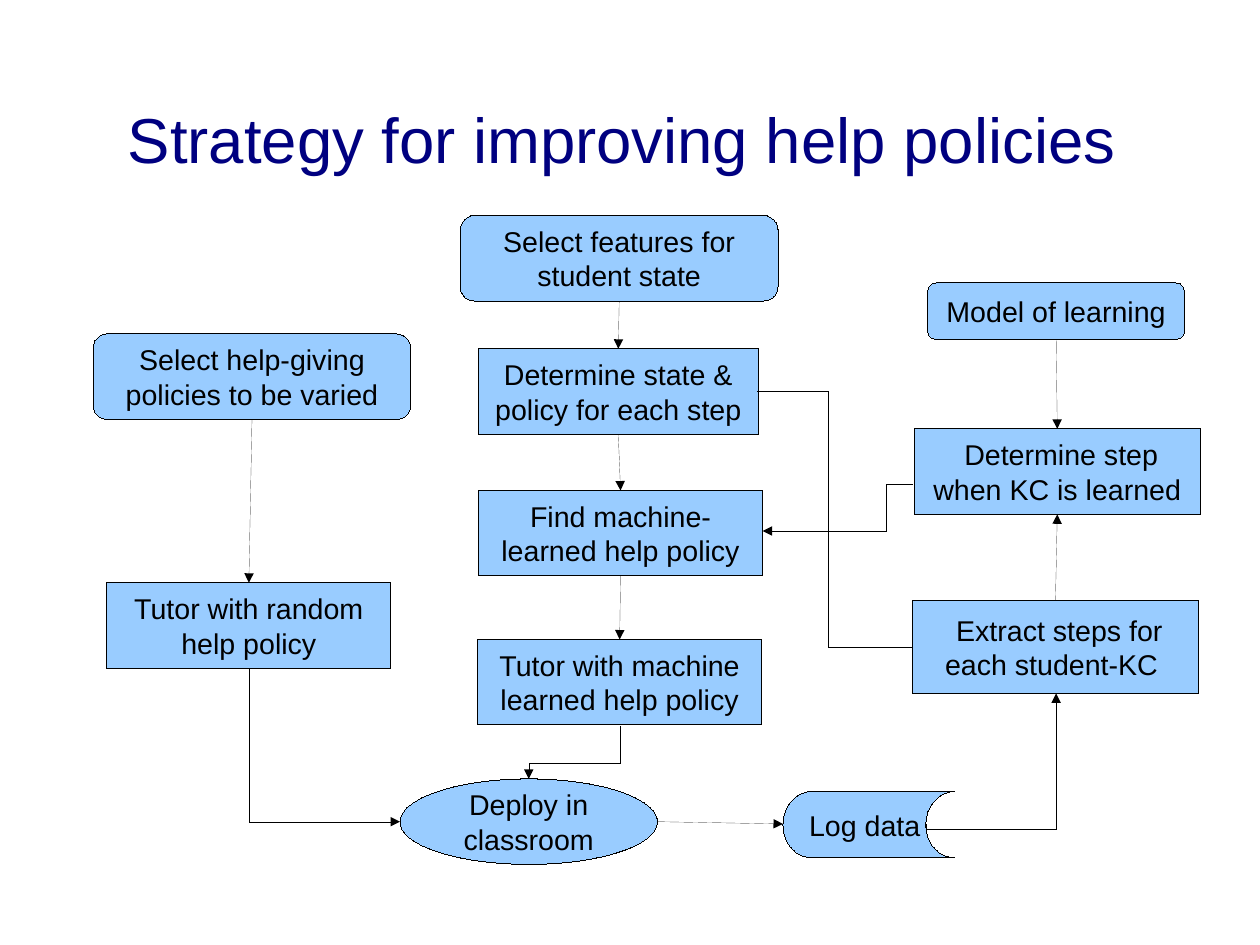
from dataclasses import dataclass

from lxml import etree
from pptx import Presentation
from pptx.dml.color import RGBColor
from pptx.enum.shapes import MSO_CONNECTOR, MSO_SHAPE
from pptx.enum.text import MSO_ANCHOR, PP_ALIGN
from pptx.oxml.ns import qn
from pptx.util import Cm, Pt

RECTANGLE = MSO_SHAPE.RECTANGLE
ROUNDED = MSO_SHAPE.ROUNDED_RECTANGLE
ELLIPSE = MSO_SHAPE.OVAL
STORAGE = MSO_SHAPE.FLOWCHART_STORED_DATA
STRAIGHT = MSO_CONNECTOR.STRAIGHT
ELBOW = MSO_CONNECTOR.ELBOW
CENTER = PP_ALIGN.CENTER
MIDDLE = MSO_ANCHOR.MIDDLE
TOP, BOTTOM = 0, 2
QUARTER_TURN = "5400000"

FONT = "Arial"
BLACK = "000000"
NAVY = "000080"
LIGHT_BLUE = "99CCFF"
HAIRLINE = Pt(0.01)


@dataclass
class Step:
    name: str
    text: str
    kind: int
    left: float
    top: float
    width: float
    height: float = 1.9
    wrap: bool = True


@dataclass
class Link:
    source: str
    target: str
    source_side: int = BOTTOM
    target_side: int = TOP


@dataclass
class Elbow:
    begin: tuple[float, float]
    end: tuple[float, float]
    bend: float | None
    vertical: bool = False
    arrow: bool = True


STEPS = [
    Step("policies", "Select help-giving policies to be varied", ROUNDED, 2.07, 7.42, 7.06),
    Step("random", "Tutor with random help policy", RECTANGLE, 2.37, 12.95, 6.32),
    Step("deploy", "Deploy in classroom", ELLIPSE, 8.89, 17.31, 5.72),
    Step("log", "Log data ", STORAGE, 17.4, 17.59, 3.81, 1.47, False),
    Step("extract", " Extract steps for each student-KC ", RECTANGLE, 20.28, 13.35, 6.35, 2.06),
    Step("model", "Model of learning", ROUNDED, 20.61, 6.28, 5.72, 1.27, False),
    Step("learned", " Determine step when KC is learned", RECTANGLE, 20.32, 9.53, 6.35),
    Step("features", "Select features for student state", ROUNDED, 10.23, 4.79, 7.06),
    Step("state", "Determine state & policy for each step", RECTANGLE, 10.63, 7.75, 6.22),
    Step("find", "Find machine-learned help policy", RECTANGLE, 10.63, 10.9, 6.32),
    Step("machine", "Tutor with machine learned help policy", RECTANGLE, 10.61, 14.21, 6.32),
]

LINKS = [
    Link("policies", "random"),
    Link("features", "state"),
    Link("state", "find"),
    Link("find", "machine"),
    Link("model", "learned"),
    Link("extract", "learned", TOP, BOTTOM),
]

ELBOWS = [
    Elbow((5.54, 14.86), (8.89, 18.26), None, vertical=True),
    Elbow((20.57, 18.31), (23.47, 15.41), -0.04, vertical=True),
    Elbow((13.77, 16.13), (11.75, 17.31), 0.71, vertical=True),
    Elbow((20.28, 14.38), (16.84, 8.71), 0.54, arrow=False),
    Elbow((20.29, 10.76), (16.95, 11.8), 0.18),
]


def color(value: str) -> RGBColor:
    return RGBColor.from_string(value)


def write_text(shape, text: str, size: int, text_color: str, wrap: bool = True) -> None:
    frame = shape.text_frame
    frame_format = {
        "word_wrap": wrap,
        "vertical_anchor": MIDDLE,
        "margin_left": Cm(0.25),
        "margin_right": Cm(0.25),
        "margin_top": Cm(0.13),
        "margin_bottom": Cm(0.13),
    }
    for attribute, value in frame_format.items():
        setattr(frame, attribute, value)
    paragraph = frame.paragraphs[0]
    paragraph.alignment = CENTER
    run = paragraph.add_run()
    run.text = text
    for attribute, value in {"name": FONT, "size": Pt(size)}.items():
        setattr(run.font, attribute, value)
    run.font.color.rgb = color(text_color)


def draw_line(line) -> None:
    line.fill.solid()
    line.fill.fore_color.rgb = color(BLACK)
    line.width = HAIRLINE


def draw_step(slide, step: Step):
    box = (Cm(step.left), Cm(step.top), Cm(step.width), Cm(step.height))
    shape = slide.shapes.add_shape(step.kind, *box)
    shape.shadow.inherit = False
    shape.fill.solid()
    shape.fill.fore_color.rgb = color(LIGHT_BLUE)
    draw_line(shape.line)
    write_text(shape, step.text, 18, BLACK, step.wrap)
    return shape


def draw_connector(slide, kind: int, ends: tuple, arrow: bool = True):
    connector = slide.shapes.add_connector(kind, *ends)
    draw_line(connector.line)
    properties = connector._element.spPr
    if arrow:
        outline = properties.find(qn("a:ln"))
        etree.SubElement(outline, qn("a:tailEnd"), type="triangle")
    etree.SubElement(properties, qn("a:effectLst"))
    return connector


def draw_link(slide, link: Link, shapes: dict) -> None:
    source, target = shapes[link.source], shapes[link.target]
    ends = (source.left, source.top, target.left, target.top)
    connector = draw_connector(slide, STRAIGHT, ends)
    connector.begin_connect(source, link.source_side)
    connector.end_connect(target, link.target_side)


def draw_elbow(slide, elbow: Elbow) -> None:
    (begin_x, begin_y), (end_x, end_y) = elbow.begin, elbow.end
    center_x, center_y = (begin_x + end_x) / 2, (begin_y + end_y) / 2
    half_x, half_y = (end_x - begin_x) / 2, (end_y - begin_y) / 2
    if elbow.vertical:
        half_x, half_y = half_y, -half_x
    ends = (
        Cm(center_x - half_x),
        Cm(center_y - half_y),
        Cm(center_x + half_x),
        Cm(center_y + half_y),
    )
    connector = draw_connector(slide, ELBOW, ends, elbow.arrow)
    properties = connector._element.spPr
    if elbow.vertical:
        properties.find(qn("a:xfrm")).set("rot", QUARTER_TURN)
    geometry = properties.find(qn("a:prstGeom"))
    if elbow.bend is None:
        geometry.set("prst", "bentConnector2")
    else:
        formula = f"val {round(elbow.bend * 100000)}"
        adjustments = geometry.find(qn("a:avLst"))
        etree.SubElement(adjustments, qn("a:gd"), name="adj1", fmla=formula)


def main() -> None:
    presentation = Presentation()
    presentation.slide_width = Cm(28)
    presentation.slide_height = Cm(21)
    slide = presentation.slides.add_slide(presentation.slide_layouts[6])

    title = slide.shapes.add_textbox(Cm(1.91), Cm(1.26), Cm(23.8), Cm(3.63))
    write_text(title, "Strategy for improving help policies", 40, NAVY)

    shapes = {step.name: draw_step(slide, step) for step in STEPS}
    for link in LINKS:
        draw_link(slide, link, shapes)
    for elbow in ELBOWS:
        draw_elbow(slide, elbow)
    draw_connector(slide, STRAIGHT, (Cm(14.61), Cm(18.26), Cm(17.4), Cm(18.31)))

    presentation.save("out.pptx")


if __name__ == "__main__":
    main()
